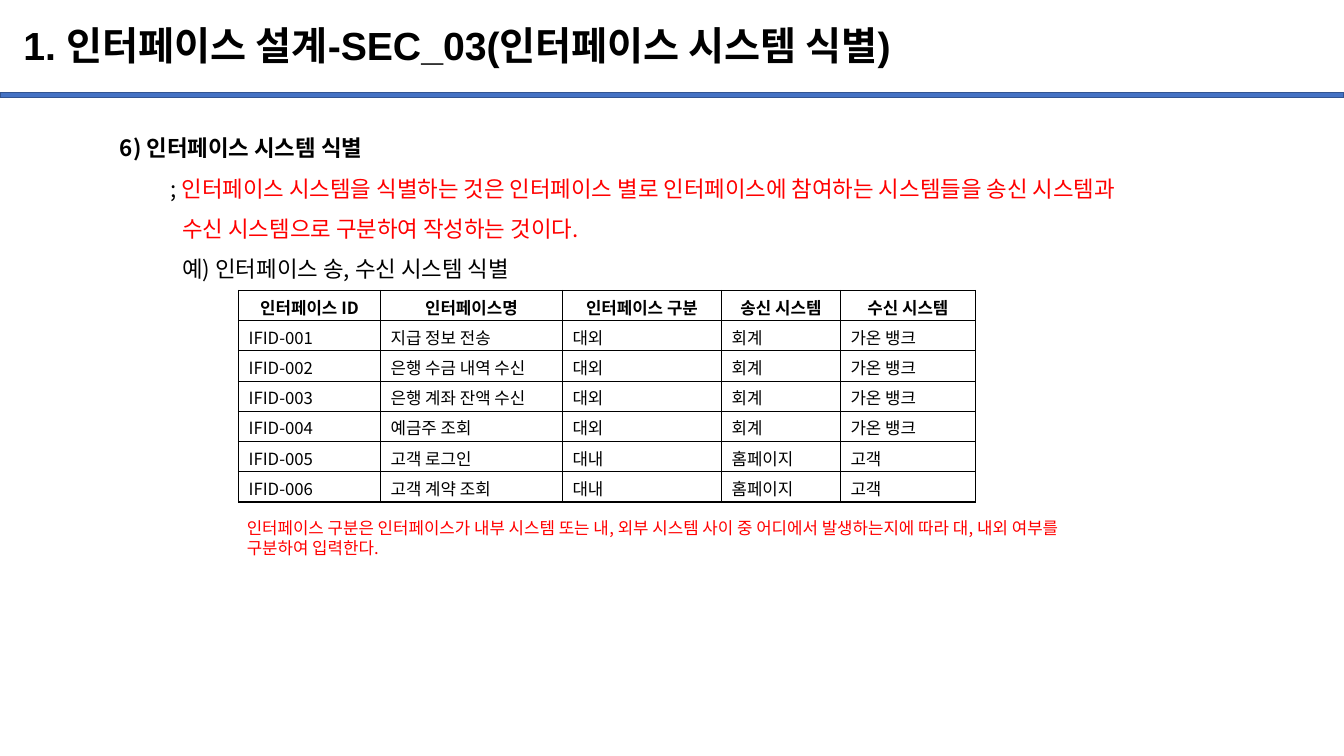
from lxml.etree import SubElement
from pptx import Presentation
from pptx.dml.color import RGBColor
from pptx.enum.shapes import MSO_SHAPE as Shape
from pptx.enum.text import MSO_ANCHOR as Anchor, MSO_AUTO_SIZE as AutoSize, PP_ALIGN as Align
from pptx.oxml import parse_xml
from pptx.oxml.ns import nsdecls, qn
from pptx.util import Pt

BLACK = RGBColor(0x00, 0x00, 0x00)
WHITE = RGBColor(0xFF, 0xFF, 0xFF)
RED = RGBColor(0xFF, 0x00, 0x00)
BLUE = RGBColor(0x44, 0x72, 0xC4)
DARK_BLUE = RGBColor(0x32, 0x54, 0x91)
KOREAN_FONT = "Noto Sans CJK KR"

TITLE = "1. 인터페이스 설계-SEC_03(인터페이스 시스템 식별)"
# Each line: left indent in points, then runs of (text, colour, bold)
EXPLANATION = [
    (0, [("6) 인터페이스 시스템 식별", BLACK, True)]),
    (36, [("; ", BLACK, False),
          ("인터페이스 시스템을 식별하는 것은 인터페이스 별로 인터페이스에 참여하는 "
           "시스템들을 송신 시스템과", RED, False)]),
    (44.6, [("수신 시스템으로 구분하여 작성하는 것이다.", RED, False)]),
    (44.6, [("예) 인터페이스 송, 수신 시스템 식별", BLACK, False)]),
]
INTERFACES = [
    ("인터페이스 ID", "인터페이스명", "인터페이스 구분", "송신 시스템", "수신 시스템"),
    ("IFID-001", "지급 정보 전송", "대외", "회계", "가온 뱅크"),
    ("IFID-002", "은행 수금 내역 수신", "대외", "회계", "가온 뱅크"),
    ("IFID-003", "은행 계좌 잔액 수신", "대외", "회계", "가온 뱅크"),
    ("IFID-004", "예금주 조회", "대외", "회계", "가온 뱅크"),
    ("IFID-005", "고객 로그인", "대내", "홈페이지", "고객"),
    ("IFID-006", "고객 계약 조회", "대내", "홈페이지", "고객"),
]
COLUMN_WIDTHS = (101.4, 130, 113.6, 85, 96.4)
ROW_HEIGHT = 21.6
CAPTION = [
    "인터페이스 구분은 인터페이스가 내부 시스템 또는 내, 외부 시스템 사이 중 "
    "어디에서 발생하는지에 따라 대, 내외 여부를",
    "구분하여 입력한다.",
]


def set_all(target, values):
    for name, value in values.items():
        setattr(target, name, value)


def place(shape, box):
    set_all(shape, dict(zip(("left", "top", "width", "height"), map(Pt, box))))


def add_run(paragraph, text, size, color=BLACK, bold=False, font=KOREAN_FONT):
    run = paragraph.add_run()
    run.text = text
    run.font.color.rgb = color
    set_all(run.font, {"size": Pt(size), "bold": bold, "name": font})
    SubElement(run.font._element, qn("a:ea")).set("typeface", KOREAN_FONT)


def paragraphs(frame, count):
    return [frame.paragraphs[0]] + [frame.add_paragraph() for _ in range(count - 1)]


def draw_title(slide, box):
    title = slide.shapes.title
    place(title, box)
    set_all(title.text_frame, {"vertical_anchor": Anchor.MIDDLE, "word_wrap": True,
                               "auto_size": AutoSize.NONE})
    heading = title.text_frame.paragraphs[0]
    set_all(heading, {"alignment": Align.LEFT, "line_spacing": 0.9})
    add_run(heading, TITLE, 28, bold=True, font="Arial")


def draw_divider(slide, box):
    divider = slide.shapes.add_shape(Shape.RECTANGLE, *map(Pt, box))
    divider.shadow.inherit = False
    divider.fill.solid()
    divider.fill.fore_color.rgb = BLUE
    divider.line.color.rgb = DARK_BLUE
    divider.line.width = Pt(1)


def draw_explanation(slide, box):
    body = slide.placeholders[1]
    place(body, box)
    frame = body.text_frame
    set_all(frame, {"vertical_anchor": Anchor.TOP, "word_wrap": True,
                    "auto_size": AutoSize.NONE})
    for line, (indent, runs) in zip(paragraphs(frame, len(EXPLANATION)), EXPLANATION):
        set_all(line, {"line_spacing": Pt(28.8), "space_before": Pt(0),
                       "alignment": Align.LEFT})
        properties = line._p.get_or_add_pPr()
        properties.set("marL", str(Pt(indent)))
        properties.set("indent", "0")
        SubElement(properties, qn("a:buNone"))
        for text, color, bold in runs:
            add_run(line, text, 16, color, bold)


def add_borders(cell):
    properties = cell._tc.get_or_add_tcPr()
    for position, side in enumerate("LRTB"):
        properties.insert(position, parse_xml(
            f'<a:ln{side} {nsdecls("a")} w="{Pt(1)}"><a:solidFill>'
            f'<a:srgbClr val="{BLACK}"/></a:solidFill></a:ln{side}>'))


def draw_interface_table(slide, left, top):
    table = slide.shapes.add_table(
        len(INTERFACES), len(COLUMN_WIDTHS), Pt(left), Pt(top),
        Pt(sum(COLUMN_WIDTHS)), Pt(ROW_HEIGHT * len(INTERFACES))).table
    set_all(table, {"first_row": False, "horz_banding": False})
    for column, width in zip(table.columns, COLUMN_WIDTHS):
        column.width = Pt(width)
    for row_index, row in enumerate(INTERFACES):
        table.rows[row_index].height = Pt(ROW_HEIGHT)
        is_header = row_index == 0
        for column_index, text in enumerate(row):
            cell = table.cell(row_index, column_index)
            set_all(cell, {"margin_top": Pt(6), "margin_bottom": Pt(1.2)})
            cell.fill.solid()
            cell.fill.fore_color.rgb = WHITE
            add_borders(cell)
            entry = cell.text_frame.paragraphs[0]
            set_all(entry, {"alignment": Align.CENTER if is_header else Align.LEFT,
                            "line_spacing": Pt(14.4)})
            add_run(entry, text, 12, bold=is_header)


def draw_caption(slide, box):
    frame = slide.shapes.add_textbox(*map(Pt, box)).text_frame
    frame.word_wrap = True
    for line, text in zip(paragraphs(frame, len(CAPTION)), CAPTION):
        line.line_spacing = Pt(14.4)
        add_run(line, text, 12, RED)


def main():
    deck = Presentation()
    set_all(deck, {"slide_width": Pt(960), "slide_height": Pt(540)})
    slide = deck.slides.add_slide(deck.slide_layouts[1])
    draw_divider(slide, (0, 66.2, 960, 3.6))
    draw_title(slide, (9.4, 7.2, 828, 53.3))
    draw_explanation(slide, (78.5, 82.8, 843.8, 356.4))
    draw_interface_table(slide, 170.4, 207.4)
    draw_caption(slide, (169.2, 366.5, 720, 36))
    deck.save("out.pptx")


if __name__ == "__main__":
    main()
